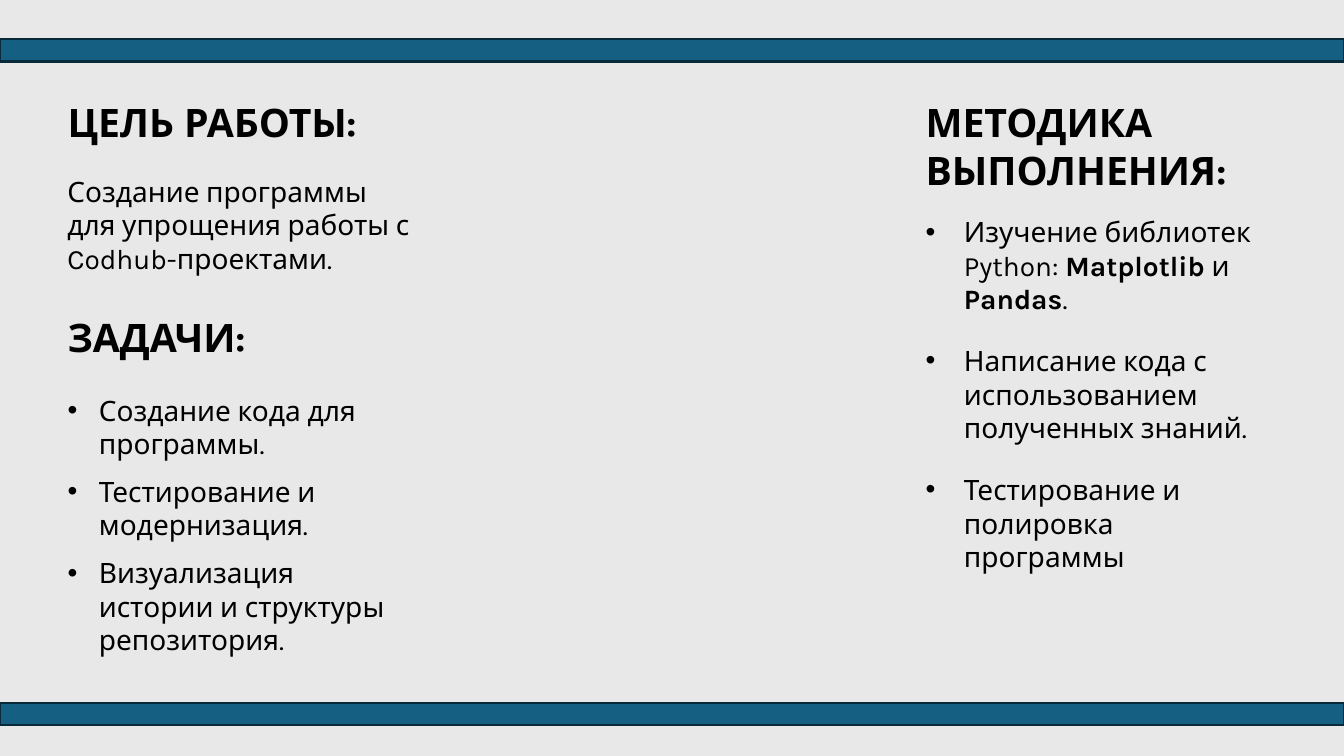
from dataclasses import dataclass

from lxml.etree import SubElement as Sub
from pptx import Presentation
from pptx.dml.color import RGBColor as Rgb
from pptx.enum.shapes import MSO_SHAPE as Shape
from pptx.enum.text import MSO_ANCHOR as Anchor, MSO_AUTO_SIZE as Fit, PP_ALIGN as Align
from pptx.oxml.ns import qn
from pptx.util import Inches, Pt


@dataclass(frozen=True)
class Theme:
    back: Rgb = Rgb.from_string("E8E8E8")
    bar: Rgb = Rgb.from_string("156082")
    edge: Rgb = Rgb.from_string("092A39")
    ink: Rgb = Rgb.from_string("000000")
    font: str = "Karla"
    head: int = 28
    text: int = 20


@dataclass(frozen=True)
class Box:
    left: float
    top: float
    width: float
    height: float

    def slice(self, down, height):
        return Box(self.left, self.top + down, self.width, height)


THEME = Theme()
WIDE, HIGH = 13.33, 7.5
TASKS = [
    [("Создание кода для программы.", False)],
    [("Тестирование и модернизация.", False)],
    [("Визуализация истории и структуры репозитория.", False)],
]
STEPS = [
    [
        ("Изучение библиотек Python: ", False),
        ("Matplotlib", True),
        (" и ", False),
        ("Pandas", True),
        (".", False),
    ],
    [("Написание кода с использованием полученных знаний.", False)],
    [("Тестирование и полировка программы", False)],
]


def place(shape, box):
    shape.left, shape.top = Inches(box.left), Inches(box.top)
    shape.width, shape.height = Inches(box.width), Inches(box.height)


def add_bar(slide, box):
    bar = slide.shapes.add_shape(Shape.RECTANGLE, 0, 0, 0, 0)
    place(bar, box)
    bar.shadow.inherit = False
    bar.fill.solid()
    bar.fill.fore_color.rgb = THEME.bar
    bar.line.color.rgb = THEME.edge
    bar.line.width = Pt(1.5)


def add_mark(para, indent):
    props = para._p.get_or_add_pPr()
    props.set("marL", str(Inches(indent)))
    props.set("indent", str(-Inches(indent)))
    Sub(props, qn("a:buFont")).set("typeface", "Arial")
    Sub(props, qn("a:buChar")).set("char", "•")


def write(shape, box, paras, size, indent=0, after=0):
    place(shape, box)
    frame = shape.text_frame
    frame.word_wrap = True
    frame.auto_size = Fit.SHAPE_TO_FIT_TEXT
    frame.vertical_anchor = Anchor.TOP
    for i, runs in enumerate(paras):
        para = frame.add_paragraph() if i else frame.paragraphs[0]
        para.alignment = Align.LEFT
        para.space_before = Pt(0)
        para.space_after = Pt(after)
        if indent:
            add_mark(para, indent)
        for words, bold in runs:
            run = para.add_run()
            run.text = words
            run.font.name = THEME.font
            run.font.size = Pt(size)
            run.font.bold = bold
            run.font.color.rgb = THEME.ink


def add_head(shape, box, words):
    write(shape, box, [[(words, True)]], THEME.head)


def add_goal(slide, box):
    add_head(slide.shapes.title, box.slice(0, 0.57), "ЦЕЛЬ РАБОТЫ:")
    note = slide.shapes.add_textbox(0, 0, 0, 0)
    goal = "Создание программы для упрощения работы с Codhub-проектами."
    write(note, box.slice(0.75, 1.11), [[(goal, False)]], THEME.text)


def add_tasks(head, body, box):
    add_head(head, box.slice(0, 0.57), "ЗАДАЧИ:")
    write(body, box.slice(0.79, 2.4), TASKS, THEME.text, 0.31, 10)


def add_steps(head, body, box):
    add_head(head, box.slice(0, 1.04), "МЕТОДИКА ВЫПОЛНЕНИЯ:")
    write(body, box.slice(1.15, 3.35), STEPS, THEME.text, 0.38, 20)


def build(deck):
    slide = deck.slides.add_slide(deck.slide_layouts.get_by_name("Comparison"))
    slide.background.fill.solid()
    slide.background.fill.fore_color.rgb = THEME.back
    for top in (0.39, 6.97):
        add_bar(slide, Box(0, top, WIDE, 0.22))
    _, *slots = slide.placeholders
    add_goal(slide, Box(0.57, 0.93, 3.63, 1.86))
    add_tasks(*slots[:2], Box(0.57, 3.06, 3.63, 3.19))
    add_steps(*slots[2:], Box(9.08, 0.93, 3.63, 4.5))


def main():
    deck = Presentation()
    deck.slide_width, deck.slide_height = Inches(WIDE), Inches(HIGH)
    build(deck)
    deck.save("out.pptx")


if __name__ == "__main__":
    main()
